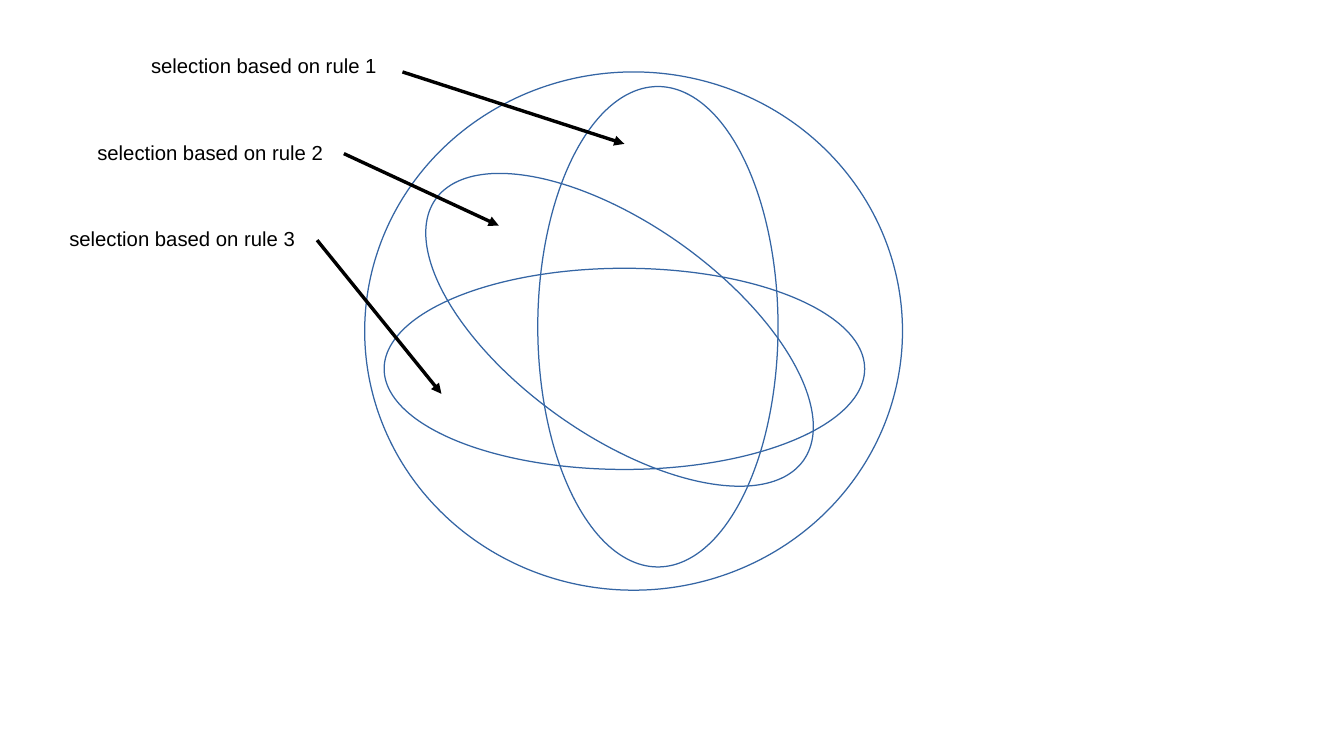
import pptx
import pptx.dml.color
import pptx.enum.shapes
import pptx.enum.text
import pptx.util
from dataclasses import dataclass
from lxml import etree
from pptx.util import Inches


@dataclass(frozen=True)
class Theme:
    outline: str = "3465A4"
    ink: str = "000000"
    font: str = "Arial"
    label_size: int = 12
    hairline: int = 0


theme = Theme()


def write_text(para, text, *, size, color, font):
    span = para.add_run()
    span.text = text
    span.font.size = pptx.util.Pt(size)
    span.font.name = font
    span.font.color.rgb = pptx.dml.color.RGBColor.from_string(color)


def style_line(line, color):
    line.color.rgb = pptx.dml.color.RGBColor.from_string(color)
    line.width = pptx.util.Pt(theme.hairline)


deck = pptx.Presentation()
deck.slide_width = Inches(11.02)
deck.slide_height = Inches(6.2)
page = deck.slides.add_slide(deck.slide_layouts[6])

# Whole set and the three selections: left, top, width, height, rotation
ellipses = [
    (2.99, 0.59, 4.41, 4.25, 0),
    (3.23, 1.84, 3.7, 1.73, 35.4),
    (4.41, 0.71, 1.97, 3.94, 0),
    (3.15, 2.2, 3.94, 1.65, 0),
]
for *frame, rotation in ellipses:
    ellipse = page.shapes.add_shape(
        pptx.enum.shapes.MSO_SHAPE.OVAL, *[Inches(length) for length in frame])
    ellipse.rotation = rotation
    ellipse.shadow.inherit = False
    ellipse.fill.background()
    style_line(ellipse.line, theme.outline)

# Rule labels, evenly spaced down the page
label_top, label_step = 0.39, 0.71
for index, left in enumerate([1.14, 0.7, 0.47]):
    box = page.shapes.add_textbox(
        Inches(left), Inches(label_top + index * label_step), Inches(2.06), Inches(0.29))
    frame = box.text_frame
    frame.word_wrap = False
    frame.auto_size = pptx.enum.text.MSO_AUTO_SIZE.SHAPE_TO_FIT_TEXT
    write_text(frame.paragraphs[0], f"selection based on rule {index + 1}",
               size=theme.label_size, color=theme.ink, font=theme.font)

# Arrows from each label into its selection: start x, start y, end x, end y
arrows = [
    (3.3, 0.59, 5.12, 1.18),
    (2.82, 1.26, 4.09, 1.85),
    (2.6, 1.97, 3.62, 3.23),
]
for ends in arrows:
    arrow = page.shapes.add_connector(
        pptx.enum.shapes.MSO_CONNECTOR.STRAIGHT, *[Inches(length) for length in ends])
    style_line(arrow.line, theme.ink)
    properties = arrow._element.spPr
    outline = properties.find(pptx.oxml.ns.qn("a:ln"))
    etree.SubElement(outline, pptx.oxml.ns.qn("a:tailEnd"), type="triangle")
    etree.SubElement(properties, pptx.oxml.ns.qn("a:effectLst"))

deck.save("out.pptx")
